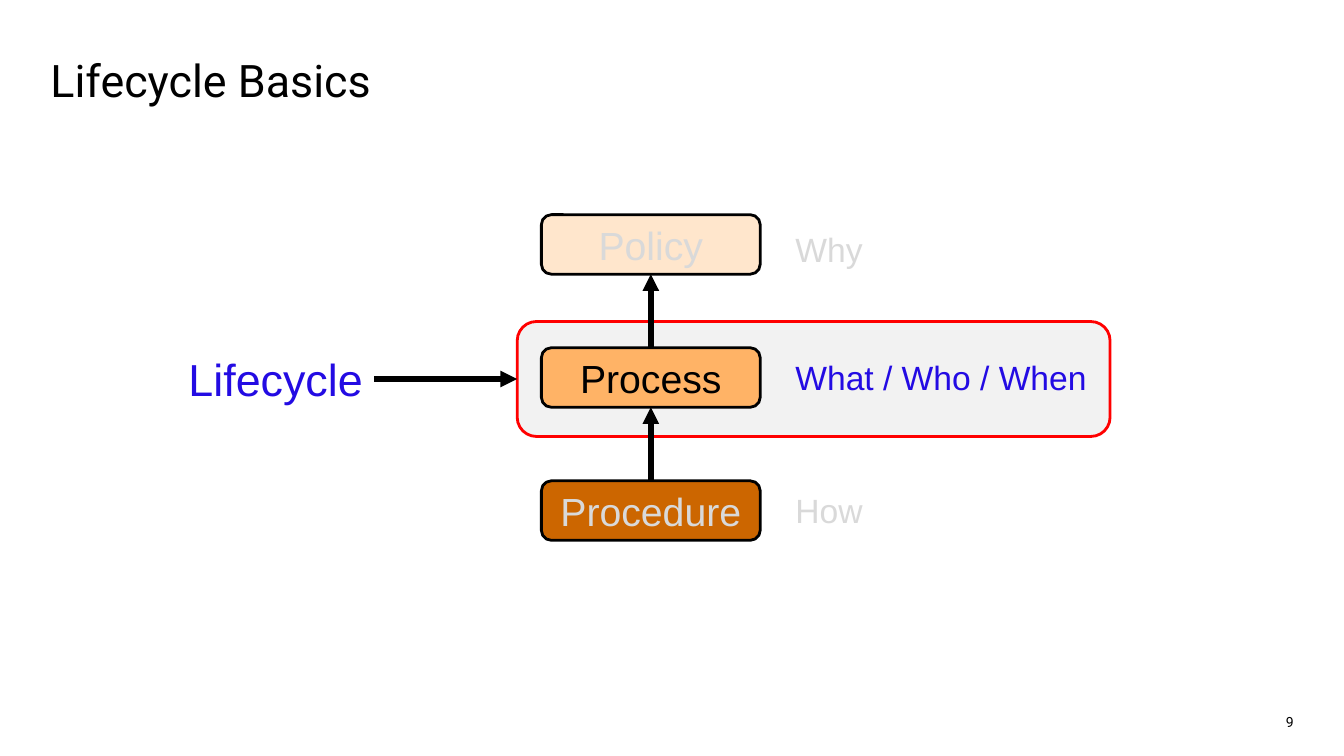
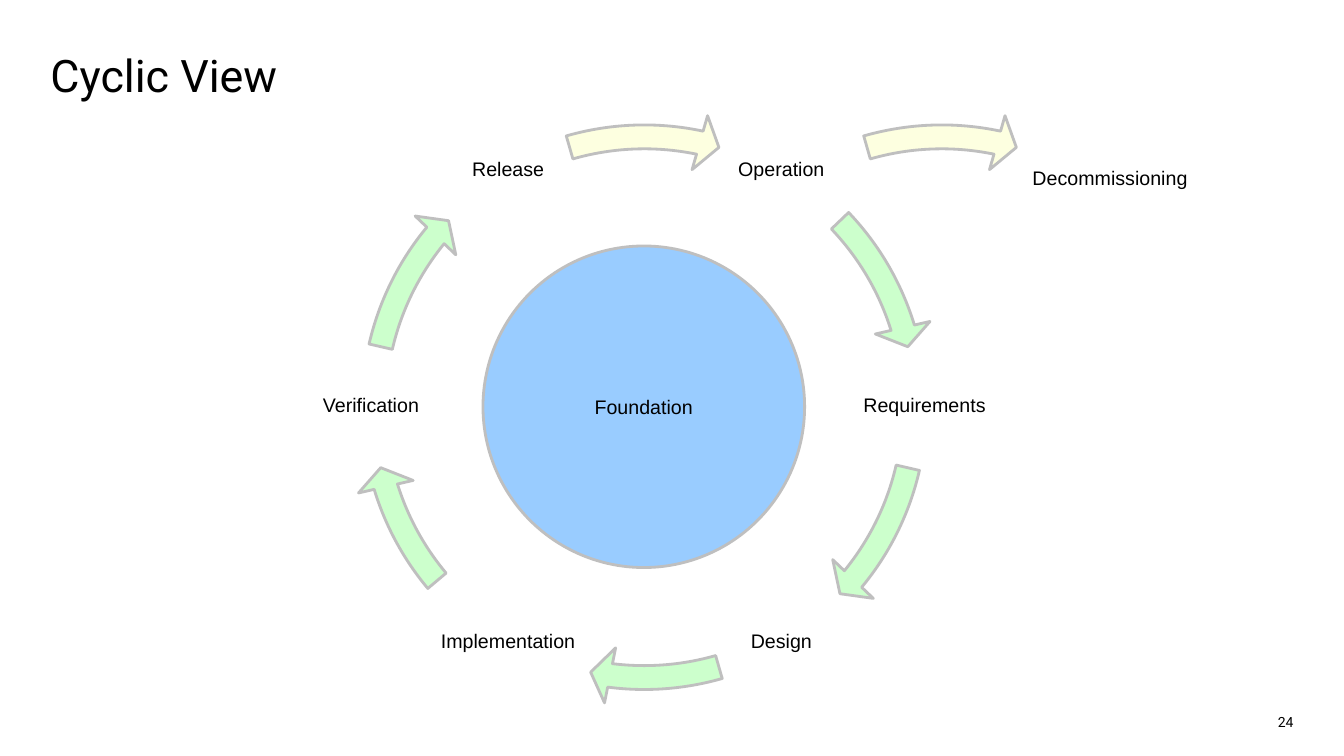
"""Build two slides on lifecycle basics and the cyclic view."""
from lxml import etree
from pptx import Presentation
from pptx.dml.color import RGBColor
from pptx.enum.shapes import MSO_CONNECTOR, MSO_SHAPE
from pptx.enum.text import MSO_ANCHOR, MSO_AUTO_SIZE, PP_ALIGN
from pptx.oxml.ns import qn
from pptx.util import Inches, Pt

LEFT, CENTER, RIGHT = PP_ALIGN.LEFT, PP_ALIGN.CENTER, PP_ALIGN.RIGHT
MIDDLE, BOTTOM, TOP = MSO_ANCHOR.MIDDLE, MSO_ANCHOR.BOTTOM, MSO_ANCHOR.TOP
ROUND, OVAL = MSO_SHAPE.ROUNDED_RECTANGLE, MSO_SHAPE.OVAL
ARC_ARROW, STRAIGHT = MSO_SHAPE.CIRCULAR_ARROW, MSO_CONNECTOR.STRAIGHT
FIT, NO_FIT = MSO_AUTO_SIZE.SHAPE_TO_FIT_TEXT, MSO_AUTO_SIZE.NONE
TITLE_ONLY = 5
TITLE_BOX = (0.5, 0.5, 9.75, 0.57)
NUMBER_BOX = (12.51, 7, 0.32, 0.25)
DEGREE = 0.6
COLORS = {
    "black": "000000", "blue": "230BE3", "faded": "D9D9D9",
    "red": "FF0000", "panel": "F2F2F2", "outline": "BFBFBF",
    "peach": "FFE6CC", "orange": "FFB366", "brown": "CC6600",
    "green": "CCFFCC", "cream": "FDFFE0", "sky": "99CCFF",
}


class Deck:
    """Hold the shared style and the current slide."""

    def __init__(self):
        """Start a wide presentation."""
        self.prs = Presentation()
        self.prs.slide_width = Inches(13.33)
        self.prs.slide_height = Inches(7.5)
        self.s = None

    def color(self, name):
        """Return a named colour."""
        return RGBColor.from_string(COLORS[name])

    def put_text(self, sp, text, size, color="black", font="Arial",
                 align=CENTER, anchor=MIDDLE, inset=None, spacing=None,
                 wrap=True, fit=NO_FIT):
        """Put one formatted line of text into a shape."""
        tf = sp.text_frame
        frame = {"word_wrap": wrap, "auto_size": fit, "vertical_anchor": anchor}
        if inset is not None:
            for side in ("left", "right", "top", "bottom"):
                frame["margin_" + side] = Inches(inset)
        p = tf.paragraphs[0]
        r = p.add_run()
        r.text = text
        formats = (
            (tf, frame),
            (p, {"alignment": align, "line_spacing": spacing}),
            (r.font, {"size": Pt(size), "name": font}),
        )
        for target, values in formats:
            for key, value in values.items():
                setattr(target, key, value)
        r.font.color.rgb = self.color(color)

    def slide(self, title, number, spacing=None):
        """Add a slide with its title and number."""
        self.s = self.prs.slides.add_slide(self.prs.slide_layouts[TITLE_ONLY])
        sp = self.s.shapes.title
        for key, value in zip(("left", "top", "width", "height"), TITLE_BOX):
            setattr(sp, key, Inches(value))
        self.put_text(sp, title, 32, font="Roboto", align=LEFT, inset=0,
                      spacing=spacing)
        self.label(number, NUMBER_BOX, 10, font="Roboto", align=RIGHT,
                   anchor=BOTTOM, inset=0)

    def label(self, text, box, size, **style):
        """Add a text box."""
        sp = self.s.shapes.add_textbox(*map(Inches, box))
        self.put_text(sp, text, size, **style)
        return sp

    def shape(self, kind, box, fill, line="black"):
        """Add a filled and outlined shape."""
        sp = self.s.shapes.add_shape(kind, *map(Inches, box))
        sp.shadow.inherit = False
        sp.fill.solid()
        sp.fill.fore_color.rgb = self.color(fill)
        sp.line.color.rgb = self.color(line)
        sp.line.width = Pt(2)
        return sp

    def arc(self, left, start, end, fill):
        """Add a curved arrow running clockwise between two angles."""
        sp = self.shape(ARC_ARROW, (left, 1.08, 5.92, 5.92), fill, "outline")
        values = (0.04, 4.17 * DEGREE, end * DEGREE, start * DEGREE, 0.047)
        for i, value in enumerate(values):
            sp.adjustments[i] = value

    def arrow(self, start, start_site, end, end_site):
        """Join two shapes with a straight arrow."""
        sp = self.s.shapes.add_connector(STRAIGHT, 0, 0, 0, 0)
        sp.begin_connect(start, start_site)
        sp.end_connect(end, end_site)
        sp.line.color.rgb = self.color("black")
        sp.line.width = Pt(4)
        props = sp.element.spPr
        etree.SubElement(props.find(qn("a:ln")), qn("a:tailEnd"), type="triangle")
        etree.SubElement(props, qn("a:effectLst"))


def lifecycle_basics(deck):
    """Draw the three levels and mark where the lifecycle fits."""
    deck.slide("Lifecycle Basics", "9")
    frame = deck.shape(ROUND, (5.13, 3.19, 5.88, 1.14), "panel", "red")
    levels = (
        ("Policy", "peach", "faded", "Why", 2.22, 0.88, "faded"),
        ("Process", "orange", "black", "What / Who / When", 3.49, 3.12, "blue"),
        ("Procedure", "brown", "faded", "How", 4.81, 0.88, "faded"),
    )
    above = None
    for i, (name, fill, color, note, top, width, note_color) in enumerate(levels):
        sp = deck.shape(ROUND, (5.37, 2.13 + 1.32 * i, 2.17, 0.59), fill)
        deck.put_text(sp, name, 28, color)
        deck.label(note, (7.79, top, width, 0.5), 24, color=note_color,
                   align=LEFT, anchor=TOP, wrap=False, fit=FIT)
        if above is not None:
            deck.arrow(sp, 0, above, 2)
        above = sp
    lifecycle = deck.label("Lifecycle", (1.76, 3.44, 1.95, 0.64), 32,
                           color="blue", fit=FIT)
    deck.arrow(lifecycle, 3, frame, 1)


def cyclic_view(deck):
    """Draw the ring of phases around the foundation."""
    deck.slide("Cyclic View", "24", spacing=0.8)
    width, height = 1.7, 1.2
    phases = (
        ("Operation", 7.75, 1.69), ("Requirements", 9.17, 4.03),
        ("Design", 7.75, 6.37), ("Implementation", 5.04, 6.37),
        ("Verification", 3.68, 4.03), ("Release", 5.04, 1.69),
        ("Decommissioning", 11.01, 1.78),
    )
    for name, x, y in phases:
        deck.label(name, (x - width / 2, y - height / 2, width, height), 14,
                   inset=0.02, spacing=0.9)
    ring, exit_ring = 3.43, 6.38
    arcs = (
        (ring, 316.38, 342.9, "green"), (ring, 12.94, 39.46, "green"),
        (ring, 73.97, 97.26, "green"), (ring, 140.05, 162.9, "green"),
        (ring, 192.94, 219.46, "green"), (ring, 253.97, 281.86, "cream"),
        (exit_ring, 253.97, 281.86, "cream"),
    )
    for arc in arcs:
        deck.arc(*arc)
    sp = deck.shape(OVAL, (4.79, 2.44, 3.19, 3.19), "sky", "outline")
    deck.put_text(sp, "Foundation", 14)


def main():
    """Build and save the slides."""
    deck = Deck()
    lifecycle_basics(deck)
    cyclic_view(deck)
    deck.prs.save("out.pptx")


if __name__ == "__main__":
    main()
